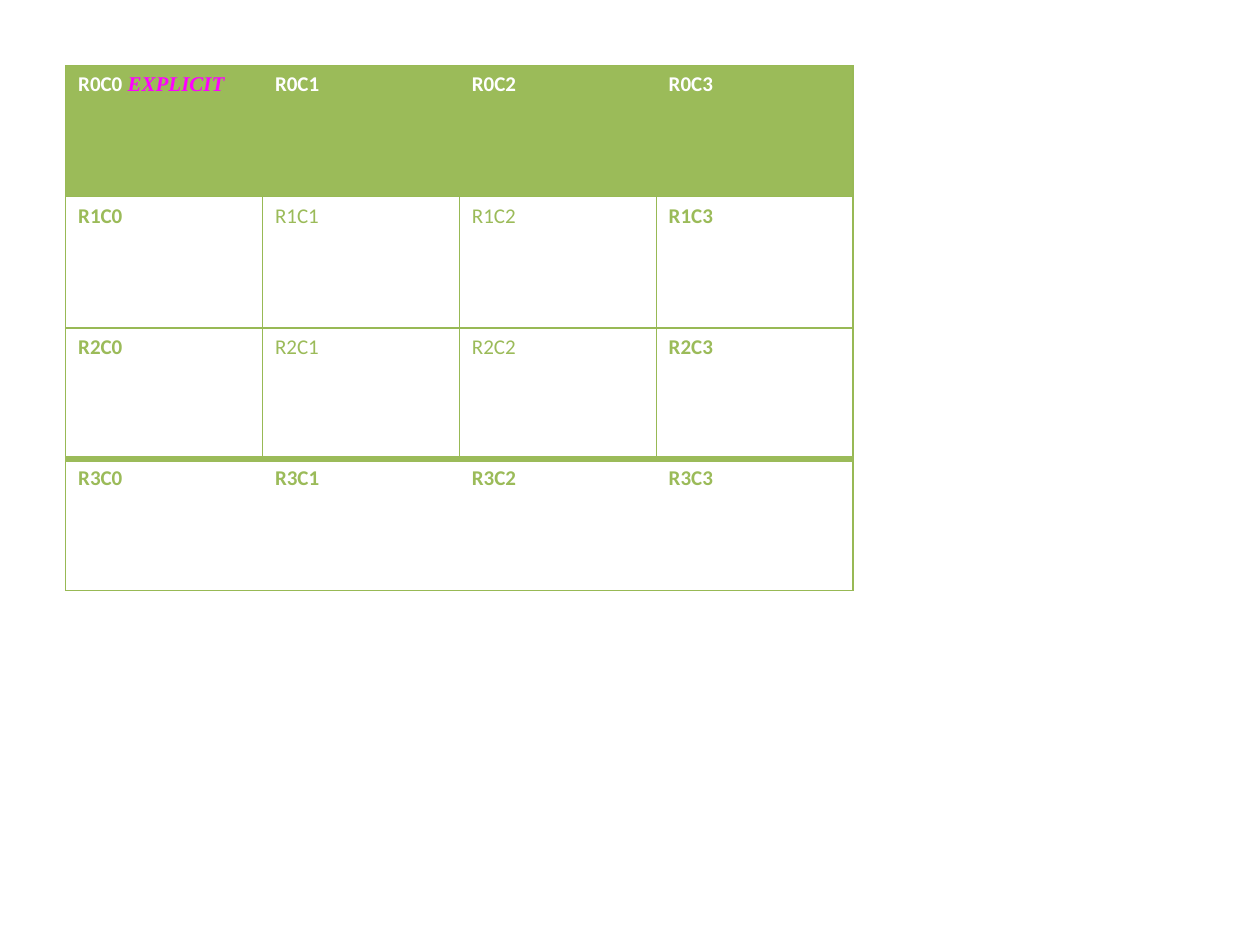
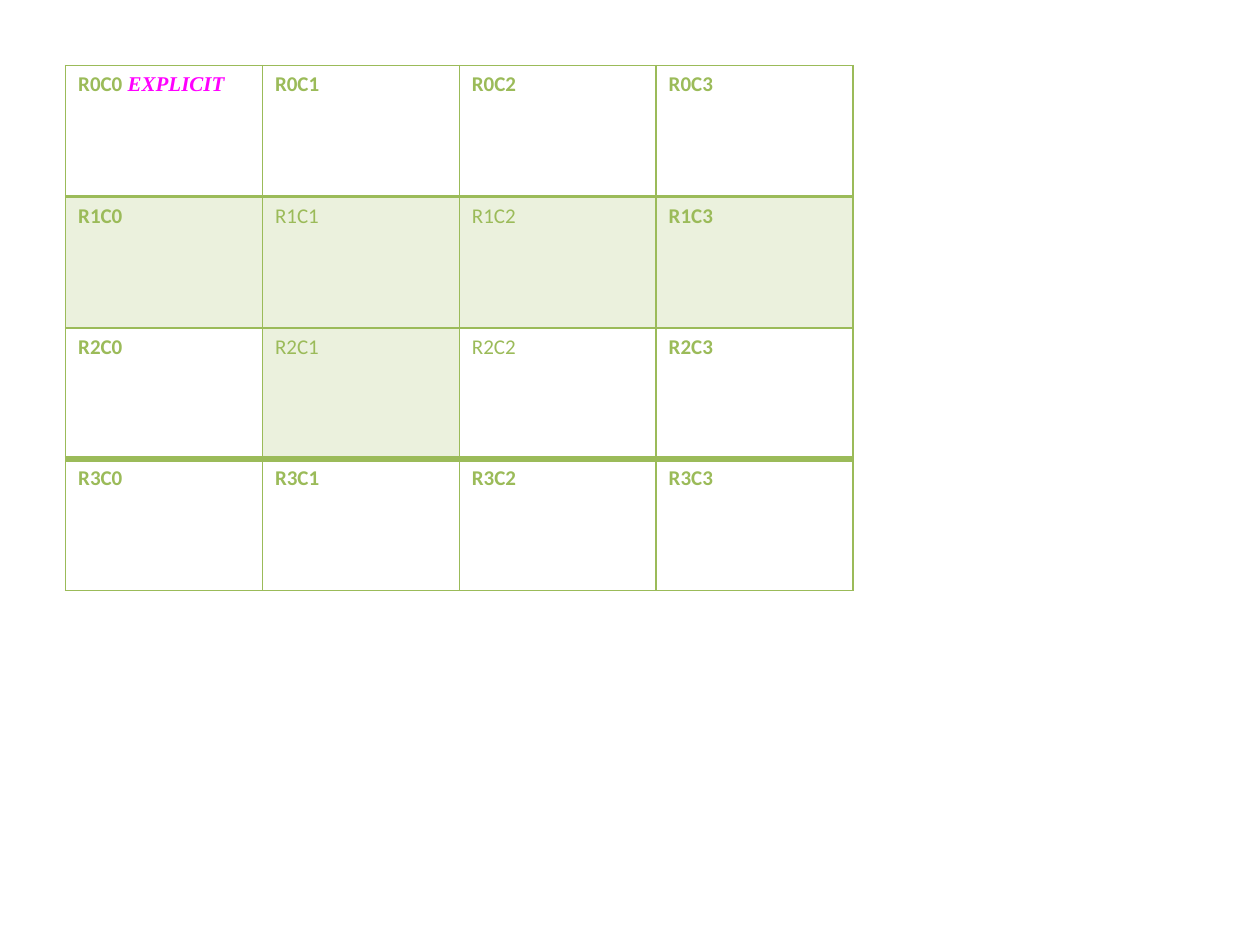
import pptx
import pptx.util
import pptx.dml.color
import pptx.oxml
import pptx.oxml.ns
import lxml.etree

RGB = pptx.dml.color.RGBColor
GREEN = RGB(0x9B, 0xBB, 0x59)
EDGE = RGB(0x98, 0xB9, 0x55)
WHITE = RGB(0xFF, 0xFF, 0xFF)
PINK = RGB(0xFF, 0x00, 0xFF)

PX = 9525  # EMU in one px
SIZE = 4   # rows and columns of each table
PLAIN = "{2D5ABB26-0587-4C30-8999-92F81FD0307C}"  # no style, no grid


def write(para, text, font="Calibri", size=12, color=GREEN, bold=True, italic=False):
    run = para.add_run()
    run.text = text
    run.font.name = font
    run.font.size = pptx.util.Pt(size)
    run.font.color.rgb = color
    run.font.bold = bold
    run.font.italic = italic


def add(parent, tag, **attrs):
    node = lxml.etree.SubElement(parent, pptx.oxml.ns.qn(tag))
    for name, value in attrs.items():
        node.set(name, str(value))
    return node


def border(cell, side, width, color):
    props = cell._tc.get_or_add_tcPr()
    line = add(props, f"a:ln{side}", w=pptx.util.Pt(width))
    if width:
        add(add(line, "a:solidFill"), "a:srgbClr", val=color)
    else:
        add(line, "a:noFill")


def paint(cell, color=None, alpha=100):
    if color is None:
        cell.fill.background()
        return
    cell.fill.solid()
    cell.fill.fore_color.rgb = color
    if alpha < 100:
        # The direct child is the cell fill; the borders hold their own
        fill = cell._tc.tcPr.find(pptx.oxml.ns.qn("a:solidFill"))
        add(fill[0], "a:alpha", val=alpha * 1000)


class Deck:
    def __init__(self):
        self.file = pptx.Presentation()
        self.file.slide_width = 960 * PX
        self.file.slide_height = 720 * PX
        self.slide = None

    def page(self):
        self.slide = self.file.slides.add_slide(self.file.slide_layouts[6])

    def table(self, across, down, fills, head=GREEN, edge=GREEN):
        """across: widths of the 5 row rules; down: 5 column rules for each row."""
        frame = self.slide.shapes.add_table(
            SIZE, SIZE, 50 * PX, 50 * PX, 600 * PX, 400 * PX)
        grid = frame.table
        grid.first_row = grid.horz_banding = False
        grid._tbl.tblPr.find(pptx.oxml.ns.qn("a:tableStyleId")).text = PLAIN
        for row in range(SIZE):
            for col in range(SIZE):
                cell = grid.cell(row, col)
                # Rules come before the fill in the cell properties
                sides = {"L": down[row][col], "R": down[row][col + 1],
                         "T": across[row], "B": across[row + 1]}
                for side, width in sides.items():
                    border(cell, side, width, GREEN if width > 1 else edge)
                paint(cell, *fills.get((row, col), ()))
                # Header, total and outer columns are bold
                para = cell.text_frame.paragraphs[0]
                write(para, f"R{row}C{col}", color=GREEN if row else head,
                      bold=row in (0, 3) or col in (0, 3))
                if row == col == 0:
                    write(para, " EXPLICIT", font="Times New Roman",
                          color=PINK, italic=True)


def main():
    deck = Deck()

    # Solid header, open header and total rows
    thin = 0.75
    outer = [thin, 0, 0, 0, thin]
    full = [thin] * 5
    deck.page()
    deck.table([thin, thin, thin, 4, thin], [outer, full, full, outer],
               {(0, col): (GREEN,) for col in range(SIZE)},
               head=WHITE, edge=EDGE)

    # Full grid with a tinted band
    tint = {(1, col): (GREEN, 20) for col in range(SIZE)}
    tint[2, 1] = (GREEN, 20)
    deck.page()
    deck.table([1, 2, 1, 4, 1], [[1] * 5] * SIZE, tint)

    deck.file.save("out.pptx")


if __name__ == "__main__":
    main()
